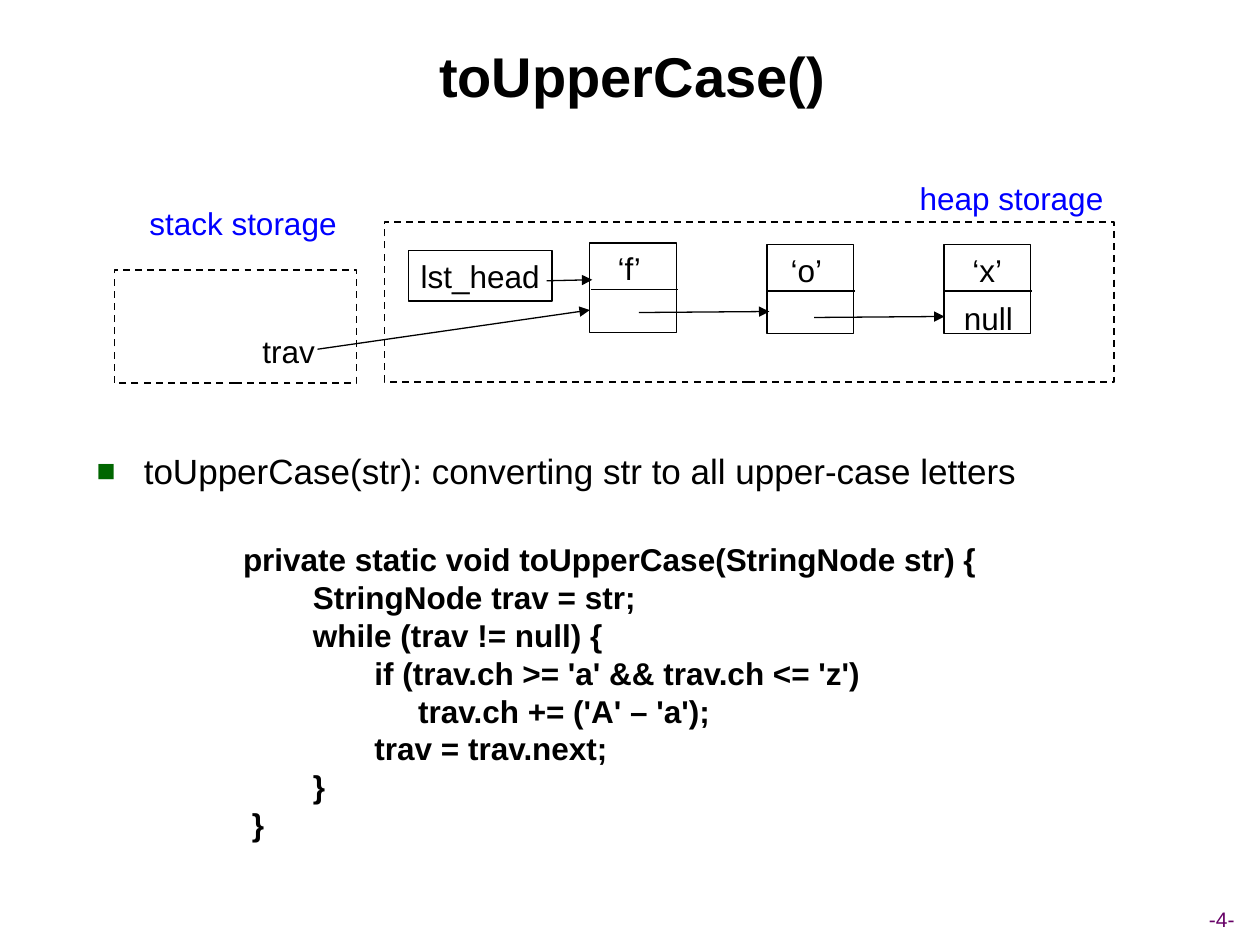
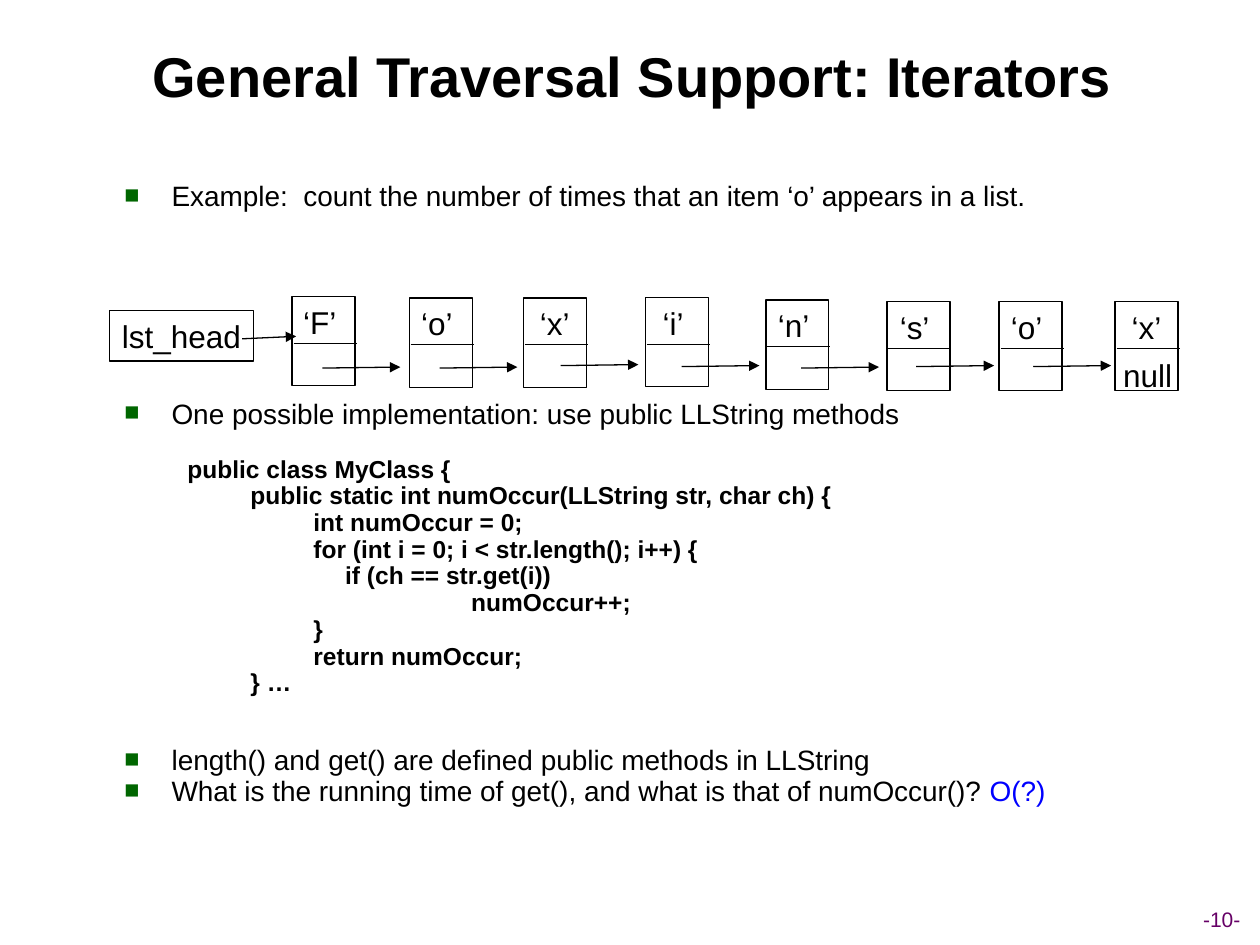
"""Build two slides on traversing linked lists."""
from lxml import etree
from pptx import Presentation
from pptx.dml.color import RGBColor
from pptx.enum.dml import MSO_LINE
from pptx.enum.shapes import MSO_CONNECTOR, MSO_SHAPE
from pptx.enum.text import MSO_ANCHOR, PP_ALIGN
from pptx.oxml.ns import qn
from pptx.util import Cm, Pt

RECTANGLE = MSO_SHAPE.RECTANGLE
STRAIGHT = MSO_CONNECTOR.STRAIGHT
DASH = MSO_LINE.DASH
CENTER = PP_ALIGN.CENTER
TOP = MSO_ANCHOR.TOP
MIDDLE = MSO_ANCHOR.MIDDLE

FONT = "Arial"
BLACK = "000000"
BLUE = "0000FF"
GREEN = "006600"
PURPLE = "660066"

color = RGBColor.from_string


def add_box(slide, left, top, width, height, text="", size=18, ink=BLACK,
            bold=False, anchor=TOP, outline=0):
    """Add centred text, inside a rectangle when an outline width is given."""
    box = Cm(left), Cm(top), Cm(width), Cm(height)
    if outline:
        shape = slide.shapes.add_shape(RECTANGLE, *box)
        shape.shadow.inherit = False
        shape.fill.background()
        shape.line.color.rgb = color(BLACK)
        shape.line.width = Pt(outline)
    else:
        shape = slide.shapes.add_textbox(*box)
    frame = shape.text_frame
    frame.word_wrap = False
    frame.vertical_anchor = anchor
    if text:
        paragraph = frame.paragraphs[0]
        paragraph.text = text
        paragraph.alignment = CENTER
        paragraph.font.name = FONT
        paragraph.font.size = Pt(size)
        paragraph.font.bold = bold
        paragraph.font.color.rgb = color(ink)
    return shape


def add_line(slide, x1, y1, x2, y2, arrow=True):
    """Add a thin black line, with an arrowhead at its end if wanted."""
    line = slide.shapes.add_connector(STRAIGHT, Cm(x1), Cm(y1), Cm(x2), Cm(y2))
    line.line.color.rgb = color(BLACK)
    line.line.width = Pt(0.75)
    if arrow:
        etree.SubElement(line.line._get_or_add_ln(), qn("a:tailEnd"), type="triangle")
    etree.SubElement(line._element.spPr, qn("a:effectLst"))


presentation = Presentation()
presentation.slide_width = Cm(25.4)
presentation.slide_height = Cm(19.05)

slides = []
for title, number in (("toUpperCase()", "-4-"),
                      ("General Traversal Support: Iterators", "-10-")):
    slide = presentation.slides.add_slide(presentation.slide_layouts[6])
    add_box(slide, 23.27, 18.14, 2.72, 0.76, number, 12, PURPLE, anchor=MIDDLE)
    add_box(slide, 0.97, 0.31, 23.55, 2.41, title, 32, bold=True, anchor=MIDDLE)
    slides.append(slide)
upper_case, iterators = slides

for left, top, width, height in ((2.31, 5.44, 4.88, 2.29), (7.75, 4.47, 14.71, 3.23)):
    storage = add_box(upper_case, left, top, width, height, outline=1)
    storage.line.dash_style = DASH
add_box(upper_case, 2.65, 3.99, 4.5, 1.02, "stack storage", ink=BLUE)
add_box(upper_case, 18.14, 3.48, 4.5, 1.02, "heap storage", ink=BLUE)
add_box(upper_case, 4.82, 6.57, 2, 1.02, "trav")
add_line(upper_case, 6.4, 7.04, 11.89, 6.25)

add_box(upper_case, 8.23, 5.05, 2.9, 1.02, "lst_head", anchor=MIDDLE, outline=0.75)
add_line(upper_case, 11.02, 5.66, 11.94, 5.64)
add_box(iterators, 2.21, 6.26, 2.9, 1.02, "lst_head", anchor=MIDDLE, outline=0.75)
add_line(iterators, 4.88, 6.83, 5.97, 6.78)

chains = (
    (upper_case, 1.75, 2.63, (
        ("‘f’ ", 11.89, 4.9, 12.88, 6.3),
        ("‘o’ ", 15.46, 4.93, 16.41, 6.4),
        ("‘x’", 19.03, 4.93, None, None))),
    (iterators, 1.27, 1.57, (
        ("‘F’ ", 5.89, 5.98, 6.5, 7.42),
        ("‘o’ ", 8.25, 6.01, 8.86, 7.42),
        ("‘x’", 10.55, 6.01, 11.3, 7.37),
        ("‘i’ ", 13.01, 6, 13.74, 7.39),
        ("‘n’ ", 15.44, 6.05, 16.15, 7.42),
        ("‘s’ ", 17.88, 6.08, 18.47, 7.39),
        ("‘o’ ", 20.14, 6.08, 20.83, 7.39),
        ("‘x’", 22.48, 6.08, None, None))),
)
for slide, node_width, arrow_length, nodes in chains:
    for letter, left, top, arrow_x, arrow_y in nodes:
        add_box(slide, left, top, node_width, 1.8, letter, outline=0.75)
        divider = top + 0.94
        add_line(slide, left + 0.03, divider, left + 0.03 + node_width, divider, False)
        if arrow_x:
            add_line(slide, arrow_x, arrow_y, arrow_x + arrow_length, arrow_y - 0.02)
        else:
            add_box(slide, left + node_width / 2 - 0.98, top + 0.97, 2, 1.02, "null")

text_blocks = (
    (upper_case, (1.7, 8.94, 21.29, 1.37), 1, 20, 18, (
        (None, 5, "toUpperCase(str): converting str to all upper-case letters"),)),
    (upper_case, (4.65, 10.77, 16, 6.35), 1, 20, 18, (
        (0, 0, "private static void toUpperCase(StringNode str) {"),
        (1.41, 0, "StringNode trav = str;"),
        (1.41, 0, "while (trav != null) {"),
        (2.65, 0, "if (trav.ch >= 'a' && trav.ch <= 'z')"),
        (3.53, 0, "trav.ch += ('A' – 'a');"),
        (2.65, 0, "trav = trav.next;"),
        (1.41, 0, "}"),
        (0.18, 0, "}"))),
    (iterators, (2.26, 3.66, 21.29, 13.79), 0.7, 16, 14, (
        (None, 4, "Example:  count the number of times that an item ‘o’ appears in a list."),
        (None, 111, "One possible implementation: use public LLString methods"),
        (1.27, 18.7, "public class MyClass {"),
        (2.54, 3.5, "public static int numOccur(LLString str, char ch) {"),
        (3.81, 3.5, "int numOccur = 0;"),
        (3.81, 3.5, "for (int i = 0; i < str.length(); i++) {"),
        (4.45, 3.5, "if (ch == str.get(i))"),
        (6.99, 3.5, "numOccur++;"),
        (3.81, 3.5, "}"),
        (3.81, 3.5, "return numOccur;"),
        (2.54, 3.5, "} …"),
        (None, 32.2, "length() and get() are defined public methods in LLString"),
        (None, 4, "What is the running time of get(), and what is that of numOccur()? "))),
)
for slide, box, line_spacing, bullet_size, code_size, rows in text_blocks:
    frame = add_box(slide, *box).text_frame
    frame.word_wrap = True
    for index, (code_indent, space_before, text) in enumerate(rows):
        paragraph = frame.add_paragraph() if index else frame.paragraphs[0]
        paragraph.text = text
        paragraph.line_spacing = line_spacing
        paragraph.space_before = Pt(space_before)
        is_bullet = code_indent is None
        properties = paragraph._p.get_or_add_pPr()
        properties.set("marL", str(Cm(0.95 if is_bullet else code_indent)))
        properties.set("indent", str(Cm(-0.95 if is_bullet else 0)))
        if is_bullet:
            bullet_color = etree.SubElement(properties, qn("a:buClr"))
            etree.SubElement(bullet_color, qn("a:srgbClr"), val=GREEN)
            etree.SubElement(properties, qn("a:buSzPct"), val="90000")
            etree.SubElement(properties, qn("a:buFont"), typeface=FONT)
            etree.SubElement(properties, qn("a:buChar"), char="■")
        paragraph.font.name = FONT
        paragraph.font.size = Pt(bullet_size if is_bullet else code_size)
        paragraph.font.bold = not is_bullet
        paragraph.font.color.rgb = color(BLACK)

answer = paragraph.add_run()
answer.text = "O(?)"
answer.font.color.rgb = color(BLUE)

presentation.save("out.pptx")
